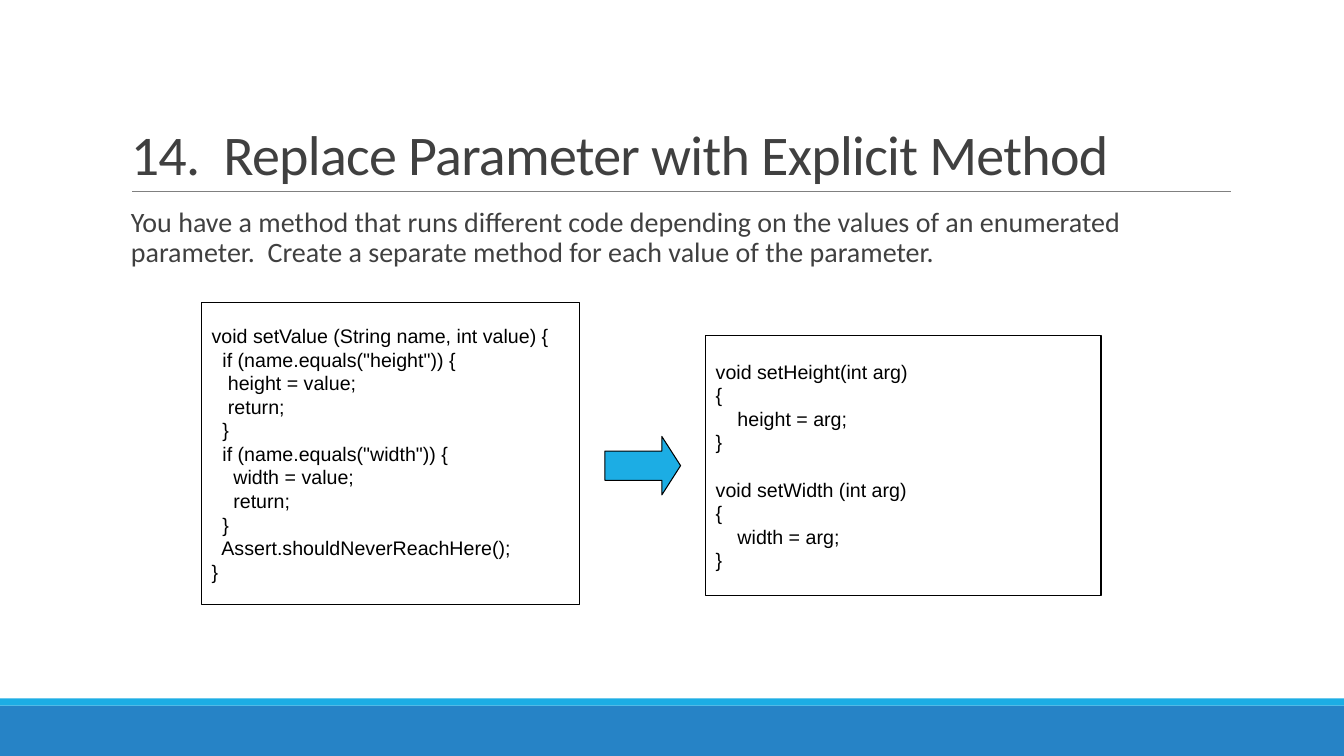
import pptx
import pptx.dml.color
import pptx.enum.shapes
import pptx.enum.text
import pptx.oxml.ns
import pptx.util
from lxml import etree
from pptx.util import Inches, Pt

SHAPES = pptx.enum.shapes.MSO_SHAPE
ANCHORS = pptx.enum.text.MSO_ANCHOR
LEFT = pptx.enum.text.PP_ALIGN.LEFT

BEFORE_CODE = """void setValue (String name, int value) {
  if (name.equals("height")) {
   height = value;
   return;
  }
  if (name.equals("width")) {
    width = value;
    return;
  }
  Assert.shouldNeverReachHere();
}"""
SETTERS = [
    """void setHeight(int arg)
{
    height = arg;
}""",
    """void setWidth (int arg)
{
    width = arg;
}""",
]


def color(value):
    """Return the colour for a hex string."""
    return pptx.dml.color.RGBColor.from_string(value)


def add_block(slide, preset, left, top, width, height, fill=None, outline=None):
    """Add a preset shape with an optional fill and outline."""
    block = slide.shapes.add_shape(
        preset, Inches(left), Inches(top), Inches(width), Inches(height))
    block.shadow.inherit = False
    if fill:
        block.fill.solid()
        block.fill.fore_color.rgb = color(fill)
    else:
        block.fill.background()
    if outline:
        block.line.color.rgb = color(outline)
        block.line.width = Pt(0.75)
    else:
        block.line.fill.background()
    return block


def add_rule(slide, left, right, top):
    """Add the thin grey line under the title."""
    rule = slide.shapes.add_connector(
        pptx.enum.shapes.MSO_CONNECTOR.STRAIGHT,
        Inches(left), Inches(top), Inches(right), Inches(top))
    rule.line.color.rgb = color("808080")
    rule.line.width = Pt(0.5)
    etree.SubElement(rule._element.spPr, pptx.oxml.ns.qn("a:effectLst"))


def add_prose(slide, text, top, height, size, line_spacing, anchor):
    """Add a wrapped Calibri paragraph and return its run."""
    prose = slide.shapes.add_textbox(
        Inches(1.2), Inches(top), Inches(11), Inches(height))
    frame = prose.text_frame
    frame.word_wrap = True
    frame.vertical_anchor = anchor
    frame.text = text
    paragraph = frame.paragraphs[0]
    paragraph.line_spacing = line_spacing
    run = paragraph.runs[0]
    run.font.name = "Calibri"
    run.font.size = Pt(size)
    run.font.color.rgb = color("404040")
    return run


def add_code(slide, methods, left, top, width, height):
    """Add an outlined box of code with a line's gap between methods."""
    box = add_block(slide, SHAPES.RECTANGLE, left, top, width, height,
                    outline="000000")
    frame = box.text_frame
    frame.word_wrap = False
    frame.vertical_anchor = ANCHORS.MIDDLE
    frame.text = "\n".join(methods)
    method_starts = {method.split("\n")[0] for method in methods[1:]}
    for line in frame.paragraphs:
        line.alignment = LEFT
        if line.text in method_starts:
            line.space_before = Pt(17)
        for run in line.runs:
            run.font.name = "Arial"
            run.font.size = Pt(14)
            run.font.color.rgb = color("000000")


def main():
    """Build the slide and save it."""
    deck = pptx.Presentation()
    deck.slide_width = Inches(13.33)
    deck.slide_height = Inches(7.5)
    slide = deck.slides.add_slide(deck.slide_layouts[6])

    add_block(slide, SHAPES.RECTANGLE, 0, 7, 13.33, 0.5, fill="2683C6")
    add_block(slide, SHAPES.RECTANGLE, 0, 6.93, 13.33, 0.07, fill="1CADE4")
    add_rule(slide, 1.31, 12.21, 1.9)

    title = add_prose(slide, "14.  Replace Parameter with Explicit Method",
                      0.31, 1.59, 40, 0.85, ANCHORS.BOTTOM)
    title._r.get_or_add_rPr().set("spc", "-50")
    add_prose(slide, "You have a method that runs different code depending on "
              "the values of an enumerated parameter.  Create a separate "
              "method for each value of the parameter.",
              2.02, 4.4, 20, 0.9, ANCHORS.TOP)

    add_code(slide, [BEFORE_CODE], 2, 3, 3.75, 3)
    arrow = add_block(slide, SHAPES.RIGHT_ARROW, 6, 4.33, 0.75, 0.58,
                      fill="1CADE4", outline="000000")
    arrow.adjustments[1] = 0.32
    add_code(slide, SETTERS, 7, 3.33, 3.92, 2.58)

    deck.save("out.pptx")


if __name__ == "__main__":
    main()
